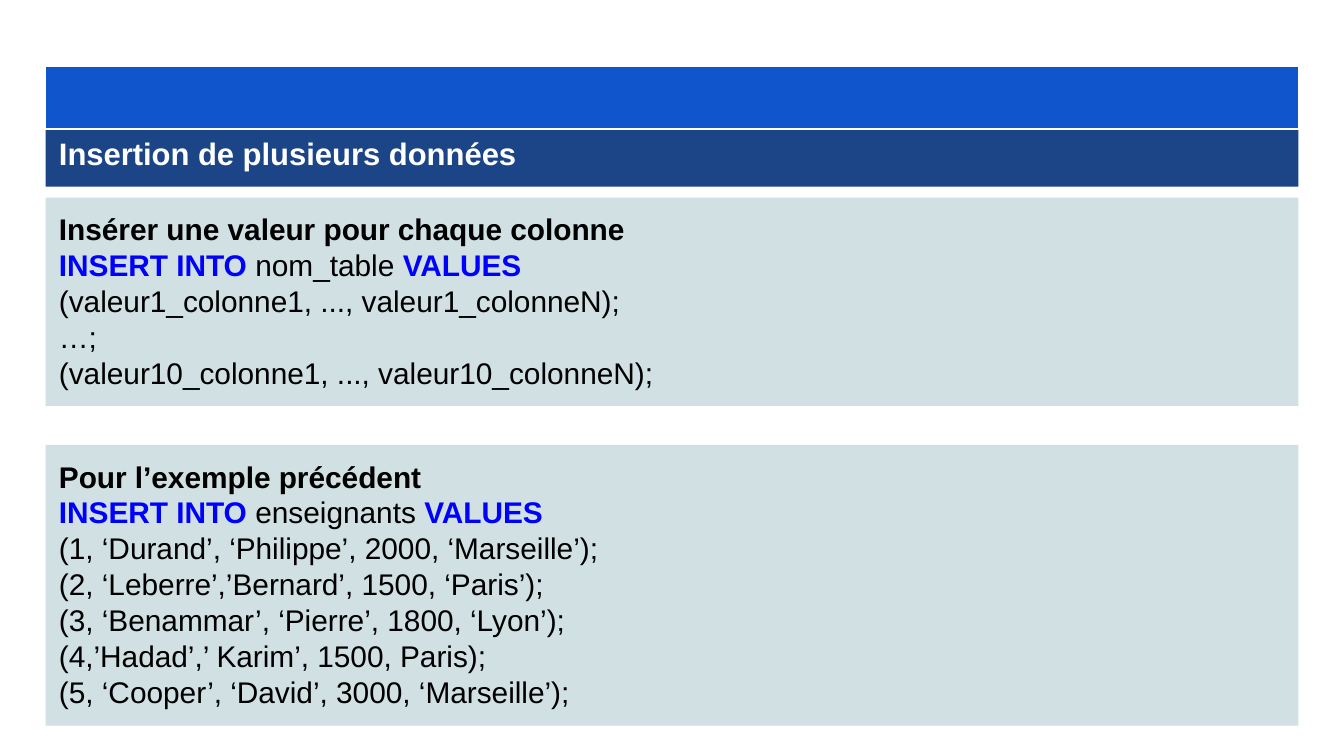
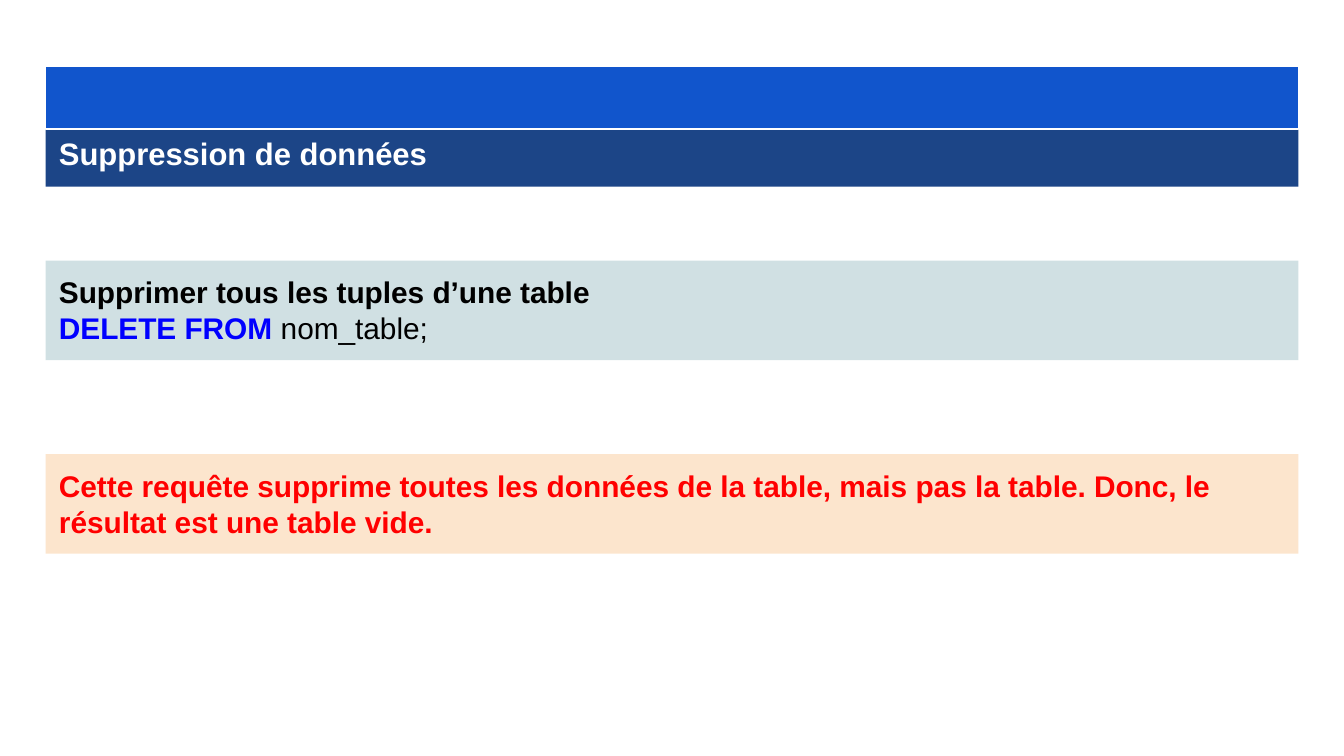
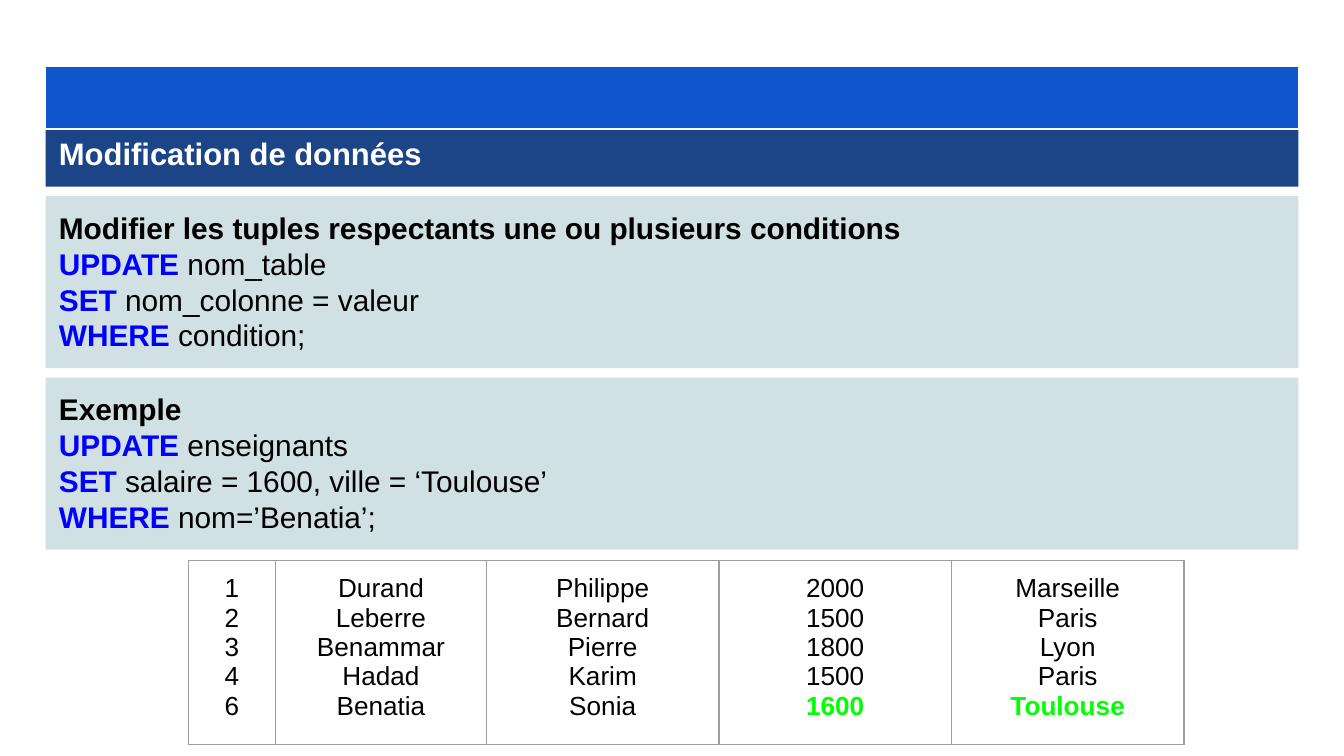
from lxml.etree import SubElement
from pptx import Presentation
from pptx.dml.color import RGBColor
from pptx.enum.shapes import MSO_SHAPE
from pptx.enum.text import MSO_ANCHOR, PP_ALIGN
from pptx.oxml.ns import qn
from pptx.util import Inches, Pt

WHITE, NAVY, BLUE = "FFFFFF", "1C4587", "1155CC"
PALE_TEAL, PALE_ORANGE, BORDER_GREY = "D0E0E3", "FCE5CD", "9E9E9E"
LEFT, WIDTH, BAND_HEIGHT, INSET = 0.34, 9.32, 0.47, Inches(0.1)
FRAME_FORMAT = {
    "margin_left": INSET,
    "margin_right": INSET,
    "margin_top": INSET,
    "margin_bottom": INSET,
    "word_wrap": True,
    "vertical_anchor": MSO_ANCHOR.TOP,
}
TITLE_PARAGRAPH = {"alignment": PP_ALIGN.LEFT, "line_spacing": 0.95, "space_after": Pt(12)}
BODY_PARAGRAPH = {"alignment": PP_ALIGN.LEFT}
CELL_PARAGRAPH = {"alignment": PP_ALIGN.CENTER}
STYLES = {
    "title": (16.6, True, WHITE),
    "heading": (16, True, "000000"),
    "keyword": (16, True, "0000FF"),
    "code": (16, False, "000000"),
    "warning": (16, True, "FF0000"),
    "cell": (14, False, "000000"),
    "changed": (14, True, "00FF00"),
}


def color(value):
    return RGBColor.from_string(value)


def write_lines(text_frame, lines, paragraph_format):
    for index, line in enumerate(lines):
        paragraph = text_frame.add_paragraph() if index else text_frame.paragraphs[0]
        for name, value in paragraph_format.items():
            setattr(paragraph, name, value)
        for style, text in line:
            size, bold, text_color = STYLES[style]
            run = paragraph.add_run()
            run.text = text
            for name, value in {"name": "Arial", "size": Pt(size), "bold": bold}.items():
                setattr(run.font, name, value)
            run.font.color.rgb = color(text_color)


SLIDES = [
    ("Insertion de plusieurs données", [
        (1.47, 1.55, PALE_TEAL, [
            [("heading", "Insérer une valeur pour chaque colonne")],
            [("keyword", "INSERT INTO "), ("code", "nom_table "), ("keyword", "VALUES")],
            [("code", "(valeur1_colonne1, ..., valeur1_colonneN);")],
            [("code", "…;")],
            [("code", "(valeur10_colonne1, ..., valeur10_colonneN);")],
        ]),
        (3.31, 2.09, PALE_TEAL, [
            [("heading", "Pour l’exemple précédent")],
            [("keyword", "INSERT INTO "), ("code", "enseignants "), ("keyword", "VALUES")],
            [("code", "(1, ‘Durand’, ‘Philippe’, 2000, ‘Marseille’);")],
            [("code", "(2, ‘Leberre’,’Bernard’, 1500, ‘Paris’);")],
            [("code", "(3, ‘Benammar’, ‘Pierre’, 1800, ‘Lyon’);")],
            [("code", "(4,’Hadad’,’ Karim’, 1500, Paris);")],
            [("code", "(5, ‘Cooper’, ‘David’, 3000, ‘Marseille’);")],
        ]),
    ]),
    ("Suppression de données", [
        (1.94, 0.74, PALE_TEAL, [
            [("heading", "Supprimer tous les tuples d’une table")],
            [("keyword", "DELETE FROM "), ("code", "nom_table;")],
        ]),
        (3.38, 0.74, PALE_ORANGE, [
            [("warning", "Cette requête supprime toutes les données de la table, mais pas la table. "
                         "Donc, le résultat est une table vide.")],
        ]),
    ]),
    ("Modification de données", [
        (1.46, 1.28, PALE_TEAL, [
            [("heading", "Modifier les tuples respectants une ou plusieurs conditions")],
            [("keyword", "UPDATE "), ("code", "nom_table")],
            [("keyword", "SET"), ("code", " nom_colonne = valeur")],
            [("keyword", "WHERE"), ("code", " condition;")],
        ]),
        (2.81, 1.28, PALE_TEAL, [
            [("heading", "Exemple")],
            [("keyword", "UPDATE "), ("code", "enseignants")],
            [("keyword", "SET"), ("code", " salaire = 1600, ville = ‘Toulouse’")],
            [("keyword", "WHERE"), ("code", " nom=’Benatia’;")],
        ]),
    ]),
]
TEACHERS = [
    ("1", "Durand", "Philippe", "2000", "Marseille"),
    ("2", "Leberre", "Bernard", "1500", "Paris"),
    ("3", "Benammar", "Pierre", "1800", "Lyon"),
    ("4", "Hadad", "Karim", "1500", "Paris"),
    ("6", "Benatia", "Sonia", "1600", "Toulouse"),
]
CHANGED_VALUES = {"1600", "Toulouse"}
COLUMN_WIDTHS = [0.65, 1.57, 1.73, 1.73, 1.73]

presentation = Presentation()
presentation.slide_width = Inches(10)
presentation.slide_height = Inches(10 * 9 / 16)

for title, panels in SLIDES:
    slide = presentation.slides.add_slide(presentation.slide_layouts[6])
    blocks = [
        (0.92, BAND_HEIGHT, NAVY, [[("title", title)]]),
        (0.49, BAND_HEIGHT, BLUE, []),
        *panels,
    ]
    for top, height, fill, lines in blocks:
        shape = slide.shapes.add_shape(
            MSO_SHAPE.RECTANGLE, Inches(LEFT), Inches(top), Inches(WIDTH), Inches(height)
        )
        shape.shadow.inherit = False
        shape.fill.solid()
        shape.fill.fore_color.rgb = color(fill)
        if fill == BLUE:
            shape.line.color.rgb = color(WHITE)
            shape.line.width = Pt(0.75)
        else:
            shape.line.fill.background()
        for name, value in FRAME_FORMAT.items():
            setattr(shape.text_frame, name, value)
        write_lines(shape.text_frame, lines, TITLE_PARAGRAPH if fill == NAVY else BODY_PARAGRAPH)

table = slide.shapes.add_table(
    1, len(COLUMN_WIDTHS), Inches(1.4), Inches(4.17), Inches(sum(COLUMN_WIDTHS)), Inches(1.37)
).table
table.first_row = False
table.horz_banding = False
for column, width in zip(table.columns, COLUMN_WIDTHS):
    column.width = Inches(width)
for cell, values in zip(table.rows[0].cells, zip(*TEACHERS)):
    for side in ("left", "right", "top", "bottom"):
        setattr(cell, f"margin_{side}", INSET)
    lines = [[("changed" if value in CHANGED_VALUES else "cell", value)] for value in values]
    write_lines(cell.text_frame, lines, CELL_PARAGRAPH)
    properties = cell._tc.get_or_add_tcPr()
    for edge in ("a:lnL", "a:lnR", "a:lnT", "a:lnB"):
        border = SubElement(properties, qn(edge), w=str(Pt(0.75)))
        border_fill = SubElement(border, qn("a:solidFill"))
        SubElement(border_fill, qn("a:srgbClr"), val=BORDER_GREY)
    cell.fill.background()

presentation.save("out.pptx")
